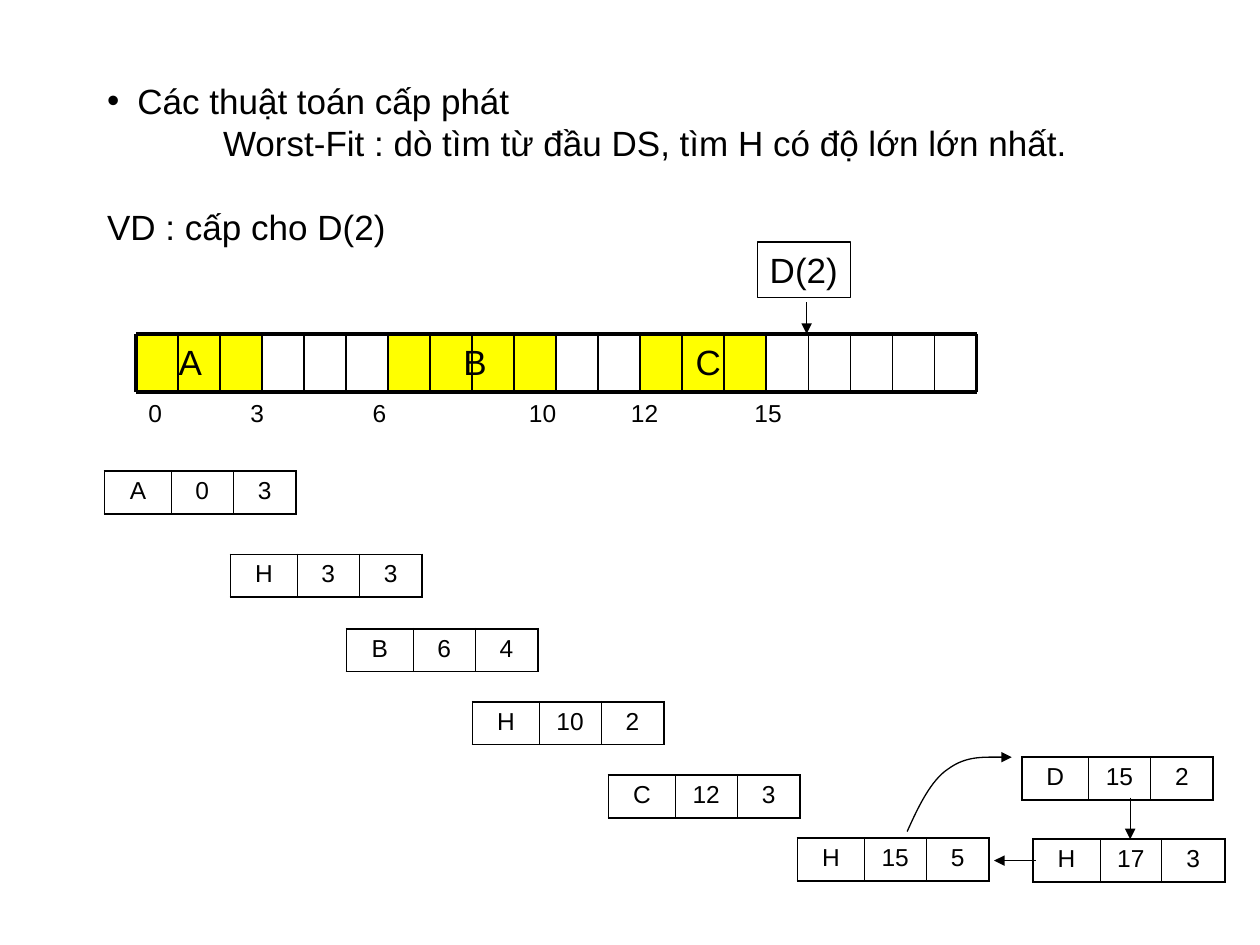
from copy import deepcopy

from lxml.etree import SubElement
from pptx import Presentation
from pptx.dml.color import RGBColor
from pptx.enum.shapes import MSO_CONNECTOR, MSO_SHAPE
from pptx.enum.text import MSO_ANCHOR, MSO_AUTO_SIZE, PP_ALIGN
from pptx.oxml.ns import qn
from pptx.util import Inches, Pt

COLORS = {"ink": "000000", "used": "FFFF00"}
FONT = "Arial"
CELLS = 20                                       # memory units in the strip
USED = [(0, 3), (6, 4), (12, 3)]                 # start, length
PROCESSES = [("A", 1.29), ("B", 8.07), ("C", 13.62)]   # name, centre in units
ADDRESSES = ["0", "3", "6", "10", "12", "15"]
ADDRESS_TABS = [0.81, 1.78, 3.02, 3.83, 4.81]
NODE_COLUMNS = [0.53, 0.49, 0.5]
NODE_HEIGHT = 0.34
NODES = [  # left, top, fields
    (0.83, 3.74, ("A", "0", "3")),
    (1.83, 4.4, ("H", "3", "3")),
    (2.75, 4.99, ("B", "6", "4")),
    (3.75, 5.57, ("H", "10", "2")),
    (4.83, 6.15, ("C", "12", "3")),
    (6.33, 6.65, ("H", "15", "5")),
    (8.11, 6.01, ("D", "15", "2")),
    (8.2, 6.66, ("H", "17", "3")),
]


def color(name):
    return RGBColor.from_string(COLORS[name])


def style(paragraph, size):
    font = paragraph.font
    font.name, font.size = FONT, Pt(size)
    font.color.rgb = color("ink")


def stroke(shape, width, arrow=False):
    shape.line.color.rgb = color("ink")
    shape.line.width = Pt(width)
    if arrow:
        SubElement(shape.line._get_or_add_ln(), qn("a:tailEnd"), type="triangle")


def add_line(slide, start, end, width, arrow=False):
    line = slide.shapes.add_connector(
        MSO_CONNECTOR.STRAIGHT, *map(Inches, (*start, *end)))
    stroke(line, width, arrow)
    SubElement(line._element.spPr, qn("a:effectLst"))


def add_text(slide, text, box, size, align=PP_ALIGN.CENTER, wrap=False):
    label = slide.shapes.add_textbox(*map(Inches, box))
    label.text_frame.word_wrap = wrap
    paragraph = label.text_frame.paragraphs[0]
    paragraph.text, paragraph.alignment = text, align
    return label


def add_body(slide, box):
    body = slide.placeholders[1]
    body.left, body.top, body.width, body.height = map(Inches, box)
    frame = body.text_frame
    frame.auto_size, frame.vertical_anchor = MSO_AUTO_SIZE.NONE, MSO_ANCHOR.TOP
    # text, left margin, first-line indent, bullet, space before
    lines = [
        ("Các thuật toán cấp phát", 0.24, -0.24, True, 0),
        ("Worst-Fit : dò tìm từ đầu DS, tìm H có độ lớn lớn nhất.", 0.92, 0, False, 0),
        ("VD : cấp cho D(2)", 0, 0, False, 24),
    ]
    frame.text = "\n".join(line[0] for line in lines)
    for paragraph, (_, margin, indent, bullet, before) in zip(frame.paragraphs, lines):
        paragraph.line_spacing, paragraph.space_before = Pt(24), Pt(before)
        properties = paragraph._p.get_or_add_pPr()
        properties.set("marL", str(Inches(margin)))
        properties.set("indent", str(Inches(indent)))
        if bullet:
            SubElement(properties, qn("a:buChar"), char="•")
        else:
            SubElement(properties, qn("a:buNone"))
        style(paragraph, 20)


def add_memory(slide, box):
    left, top, width, height = box
    unit = width / CELLS
    right, bottom = left + width, top + height

    # Address scale
    scale = add_text(slide, "\t".join(ADDRESSES), (left, bottom, width, 0.39), 14,
                     PP_ALIGN.LEFT, wrap=True).text_frame.paragraphs[0]
    tabs = SubElement(scale._p.get_or_add_pPr(), qn("a:tabLst"))
    for position in ADDRESS_TABS:
        SubElement(tabs, qn("a:tab"), pos=str(Inches(position)), algn="l")
    style(scale, 14)

    # Allocated units
    for start, length in USED:
        for index in range(start, start + length):
            cell = slide.shapes.add_shape(MSO_SHAPE.RECTANGLE, *map(
                Inches, (left + index * unit, top, unit, height)))
            cell.shadow.inherit = False
            cell.fill.solid()
            cell.fill.fore_color.rgb = color("used")
            cell.line.fill.background()

    # Frame and dividers
    for y in (top, bottom):
        add_line(slide, (left, y), (right, y), 2.25)
    for index in range(CELLS + 1):
        x = left + index * unit
        add_line(slide, (x, top), (x, bottom), 2.25 if index in (0, CELLS) else 1)

    # Process names
    for name, centre in PROCESSES:
        label = add_text(slide, name, (left + centre * unit - 0.2, top, 0.4, 0.44), 20)
        style(label.text_frame.paragraphs[0], 20)


def add_request(slide, box):
    left, top, width, height = box
    request = add_text(slide, "D(2)", box, 20)
    style(request.text_frame.paragraphs[0], 20)
    stroke(request, 0.75)
    x = left + 0.53 * width
    add_line(slide, (x, top + height + 0.04), (x, 2.65), 0.75, arrow=True)


def set_borders(cell, first, last):
    properties = cell._tc.get_or_add_tcPr()
    widths = {"lnL": 1.08 if first else 0.45, "lnR": 1.08 if last else 0.45,
              "lnT": 1.08, "lnB": 1.08}
    for side, width in widths.items():
        border = SubElement(properties, qn("a:" + side), w=str(Pt(width)))
        fill = SubElement(border, qn("a:solidFill"))
        SubElement(fill, qn("a:srgbClr"), val=COLORS["ink"])


def add_node(slide, left, top, fields):
    frame = slide.shapes.add_table(1, len(fields), *map(
        Inches, (left, top, sum(NODE_COLUMNS), NODE_HEIGHT)))
    table = frame.table
    table.first_row = table.horz_banding = False
    for index, (field, width) in enumerate(zip(fields, NODE_COLUMNS)):
        table.columns[index].width = Inches(width)
        cell = table.cell(0, index)
        cell.text = field
        set_borders(cell, index == 0, index == len(fields) - 1)
        cell.fill.background()
        paragraph = cell.text_frame.paragraphs[0]
        paragraph.alignment = PP_ALIGN.CENTER
        style(paragraph, 14)


def add_curve(slide, start, *points):
    """Arrow through cubic segments; points come in threes."""
    builder = slide.shapes.build_freeform(*map(Inches, start))
    builder.add_line_segments([tuple(map(Inches, point)) for point in points], close=False)
    curve = builder.convert_to_shape()
    segments = list(curve._element.iter(qn("a:lnTo")))
    outline = segments[0].getparent()
    for index in range(0, len(segments), 3):
        cubic = SubElement(outline, qn("a:cubicBezTo"))
        for segment in segments[index:index + 3]:
            cubic.append(deepcopy(segment[0]))
            outline.remove(segment)
    curve.shadow.inherit = False
    curve.fill.background()
    stroke(curve, 0.75, arrow=True)


def main():
    deck = Presentation()
    deck.slide_width, deck.slide_height = Inches(10), Inches(7.5)
    slide = deck.slides.add_slide(deck.slide_layouts[1])
    title = slide.shapes.title._element
    title.getparent().remove(title)

    add_body(slide, (0.75, 0.58, 9.25, 1.44))
    add_memory(slide, (1.08, 2.65, 6.67, 0.46))
    add_request(slide, (6.01, 1.92, 0.74, 0.44))
    for node in NODES:
        add_node(slide, *node)

    # Splitting the last hole
    add_curve(slide, (7.2, 6.6), (7.29, 6.4), (7.39, 6.19), (7.53, 6.1),
              (7.67, 6), (7.85, 6.01), (8.03, 6.01))
    add_line(slide, (8.97, 6.33), (8.97, 6.66), 0.75, arrow=True)
    add_line(slide, (8.22, 6.83), (7.89, 6.83), 0.75, arrow=True)
    deck.save("out.pptx")


if __name__ == "__main__":
    main()
